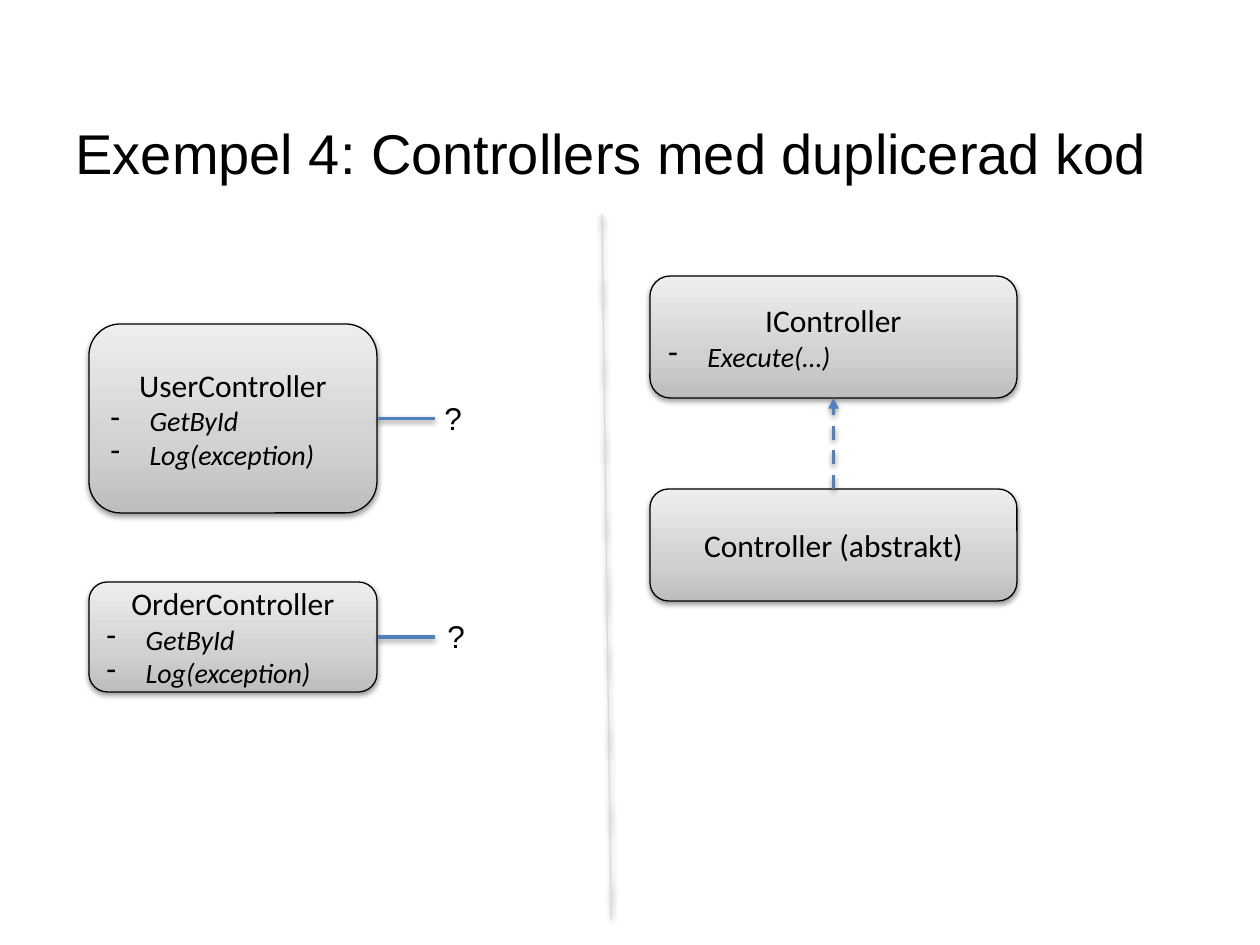
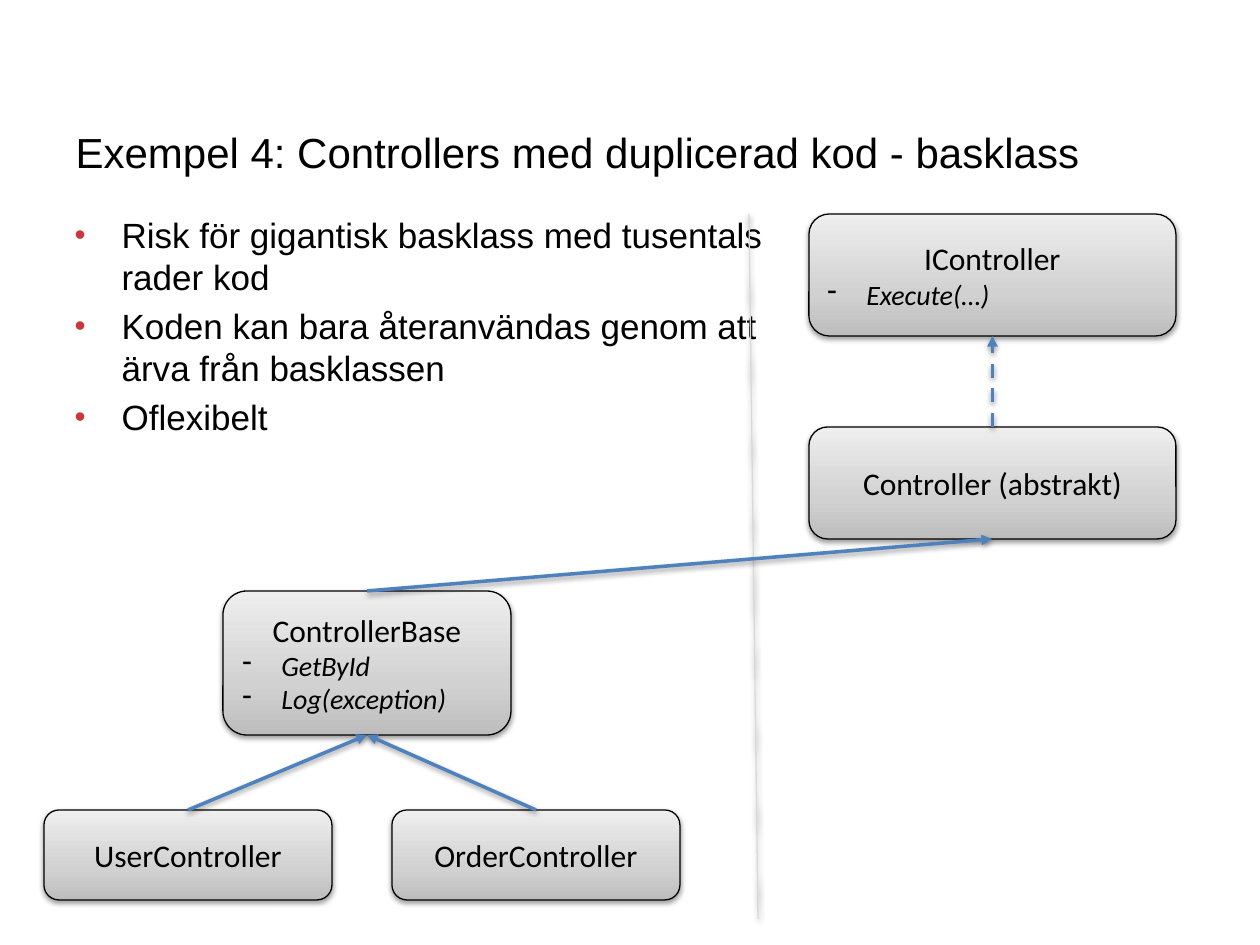
"""Build two slides on controllers with duplicated code."""
from pptx import Presentation
from pptx.dml.color import RGBColor
from pptx.enum.dml import MSO_LINE
from pptx.enum.shapes import MSO_CONNECTOR, MSO_SHAPE
from pptx.enum.text import MSO_ANCHOR, MSO_AUTO_SIZE, PP_ALIGN
from pptx.oxml import parse_xml
from pptx.oxml.ns import nsdecls
from pptx.util import Pt

SCALE = 914400 / 126
BLACK, BLUE, GREY, RED = "000000", "4F81BD", "D9D9D9", "CB363B"
METHODS = ["GetById", "Log(exception)"]
NARROW, WIDE = 288, 367
INTERFACE_HEIGHT, ABSTRACT_HEIGHT, ABSTRACT_OFFSET = 122, 112, 213
NAMESPACE = nsdecls("a")
GRADIENT = (
    f'<a:gradFill {NAMESPACE} rotWithShape="1"><a:gsLst>'
    '<a:gs pos="0"><a:srgbClr val="BDBDBD"/></a:gs>'
    '<a:gs pos="35000"><a:srgbClr val="D1D1D1"/></a:gs>'
    '<a:gs pos="100000"><a:srgbClr val="EEEEEE"/></a:gs>'
    '</a:gsLst><a:lin ang="16200000" scaled="1"/></a:gradFill>'
)
SHADOW = (
    f'<a:effectLst {NAMESPACE}><a:outerShdw blurRad="40000" dist="20000" dir="5400000" '
    'rotWithShape="0"><a:srgbClr val="000000"><a:alpha val="38000"/></a:srgbClr>'
    '</a:outerShdw></a:effectLst>'
)
color = RGBColor.from_string


def add_class_box(slide, left, top, width, height, name, methods=()):
    position = [round(n * SCALE) for n in (left, top, width, height)]
    shape = slide.shapes.add_shape(MSO_SHAPE.ROUNDED_RECTANGLE, *position)
    shape.line.color.rgb = color(BLACK)
    shape.line.width = Pt(0.75)
    properties = shape._element.spPr
    properties.insert(2, parse_xml(GRADIENT))
    properties.append(parse_xml(SHADOW))
    frame = shape.text_frame
    frame.word_wrap = True
    frame.vertical_anchor = MSO_ANCHOR.MIDDLE
    frame.text = "\n".join([name, *methods])
    for index, paragraph in enumerate(frame.paragraphs):
        is_method = index > 0
        if is_method:
            settings = paragraph._p.get_or_add_pPr()
            settings.set("marL", str(round(39 * SCALE)))
            settings.set("indent", str(round(-39 * SCALE)))
            settings.append(parse_xml(f'<a:buChar {NAMESPACE} char="-"/>'))
        paragraph.alignment = PP_ALIGN.LEFT if is_method else PP_ALIGN.CENTER
        paragraph.font.name = "Calibri"
        paragraph.font.size = Pt(16 if is_method else 18)
        paragraph.font.italic = is_method
        paragraph.font.color.rgb = color(BLACK)


def add_line(slide, points, line_color=BLUE, width=2, arrow=False, dashed=False):
    ends = [round(n * SCALE) for n in points]
    connector = slide.shapes.add_connector(MSO_CONNECTOR.STRAIGHT, *ends)
    connector.line.color.rgb = color(line_color)
    connector.line.width = Pt(width)
    if dashed:
        connector.line.dash_style = MSO_LINE.DASH
    properties = connector._element.spPr
    if arrow:
        properties.get_or_add_ln().append(
            parse_xml(f'<a:tailEnd {NAMESPACE} type="triangle"/>'))
    properties.append(parse_xml(SHADOW))


presentation = Presentation()
presentation.slide_width = round(1260 * SCALE)
presentation.slide_height = round(945 * SCALE)

slides = []
for layout, title_text, title_size, left, top, divider in [
    (5, "Exempel 4: Controllers med duplicerad kod", 32, 650, 276, 602),
    (1, "Exempel 4: Controllers med duplicerad kod - basklass", 24, 809, 214, 749),
]:
    slide = presentation.slides.add_slide(presentation.slide_layouts[layout])
    slides.append(slide)
    title = slide.shapes.title
    title.left, title.top, title.width, title.height = [
        round(n * SCALE) for n in (63, 73, 1134, 158)]
    title.text_frame.text = title_text
    title.text_frame.vertical_anchor = MSO_ANCHOR.MIDDLE
    title.text_frame.auto_size = MSO_AUTO_SIZE.NONE
    paragraph = title.text_frame.paragraphs[0]
    paragraph.alignment = PP_ALIGN.LEFT
    paragraph.font.name = "Arial"
    paragraph.font.size = Pt(title_size)
    paragraph.font.color.rgb = color(BLACK)

    abstract_top = top + ABSTRACT_OFFSET
    center = left + WIDE / 2
    add_class_box(slide, left, top, WIDE, INTERFACE_HEIGHT, "IController", ["Execute(…)"])
    add_class_box(slide, left, abstract_top, WIDE, ABSTRACT_HEIGHT, "Controller (abstrakt)")
    add_line(slide, (center, abstract_top, center, top + INTERFACE_HEIGHT),
             arrow=True, dashed=True)
    add_line(slide, (divider, 214, divider + 9, 919), GREY, 0.75)

duplicate_slide, base_slide = slides

for name, top, height, question_left in [
    ("UserController", 324, 189, 432),
    ("OrderController", 582, 110, 435),
]:
    middle = top + height / 2
    add_class_box(duplicate_slide, 89, top, NARROW, height, name, METHODS)
    add_line(duplicate_slide, (435, middle, 378, middle))
    question = duplicate_slide.shapes.add_textbox(
        *[round(n * SCALE) for n in (question_left, middle - 26, 43, 50)])
    frame = question.text_frame
    frame.word_wrap = False
    frame.auto_size = MSO_AUTO_SIZE.SHAPE_TO_FIT_TEXT
    frame.text = "?"
    paragraph = frame.paragraphs[0]
    paragraph.font.name = "Arial"
    paragraph.font.size = Pt(18)
    paragraph.font.color.rgb = color(BLACK)

add_class_box(base_slide, 223, 591, NARROW, 144, "ControllerBase", METHODS)
for name, left in [("UserController", 44), ("OrderController", 392)]:
    add_class_box(base_slide, left, 810, NARROW, 90, name)
    add_line(base_slide, (left + NARROW / 2, 810, 367, 735), arrow=True)
add_line(base_slide, (367, 591, 992, 539), arrow=True)

body = base_slide.placeholders[1]
body.left, body.top, body.width, body.height = [
    round(n * SCALE) for n in (62, 207, 727, 333)]
body.text_frame.auto_size = MSO_AUTO_SIZE.NONE
body.text_frame.text = "\n".join([
    "Risk för gigantisk basklass med tusentals rader kod",
    "Koden kan bara återanvändas genom att ärva från basklassen",
    "Oflexibelt",
])
for paragraph in body.text_frame.paragraphs:
    settings = paragraph._p.get_or_add_pPr()
    settings.set("marL", str(round(47 * SCALE)))
    settings.set("indent", str(round(-47 * SCALE)))
    for bullet in (f'<a:buClr {NAMESPACE}><a:srgbClr val="{RED}"/></a:buClr>',
                   f'<a:buSzPct {NAMESPACE} val="90000"/>',
                   f'<a:buChar {NAMESPACE} char="•"/>'):
        settings.append(parse_xml(bullet))
    paragraph.space_before = Pt(4)
    paragraph.font.name = "Arial"
    paragraph.font.size = Pt(20)
    paragraph.font.color.rgb = color(BLACK)

presentation.save("out.pptx")
